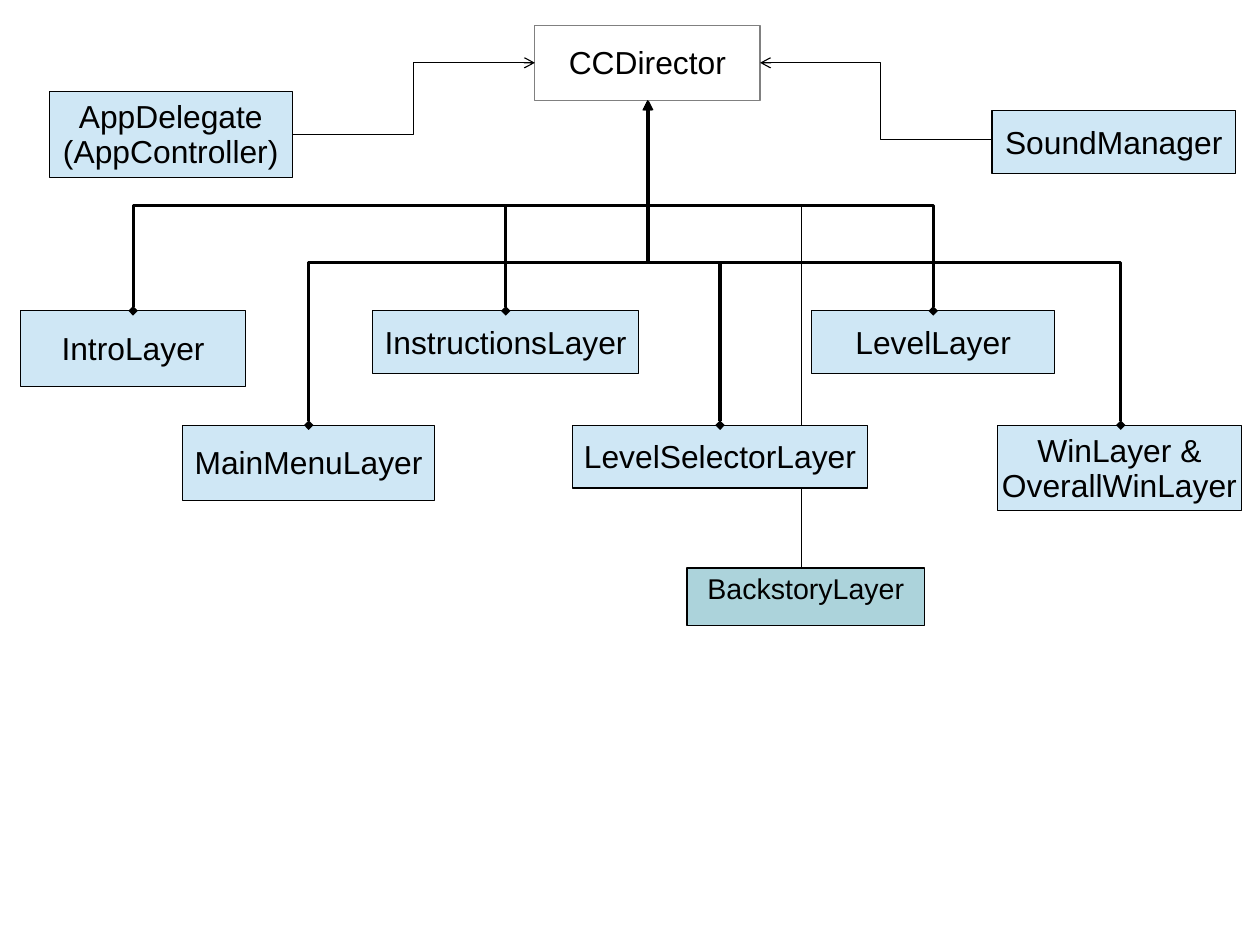
from pptx import Presentation
from pptx.dml.color import RGBColor
from pptx.enum.shapes import MSO_CONNECTOR as LINK, MSO_SHAPE as SHAPE
from pptx.enum.text import MSO_ANCHOR as ANCHOR, PP_ALIGN as ALIGN
from pptx.oxml.ns import qn
from pptx.util import Cm, Inches, Pt
from lxml.etree import SubElement

PAGE_WIDTH, PAGE_HEIGHT = Cm(28), Cm(21)
BLACK, GREY, PALE_BLUE, TEAL = "000000", "808080", "CFE7F5", "ACD3DB"

# Places are given on a grid with columns and rows of one inch.
DIRECTOR = (4.68, 0.22, 1.97, 0.66)
DIRECTOR_CENTRE = DIRECTOR[0] + DIRECTOR[2] / 2
DIRECTOR_MIDDLE = DIRECTOR[1] + DIRECTOR[3] / 2
DIRECTOR_BOTTOM = DIRECTOR[1] + DIRECTOR[3]

UPPER_ROW, LOWER_ROW = 2.72, 3.72
UPPER_BUS = (UPPER_ROW + DIRECTOR_BOTTOM) / 2

# Text, left, top, width, height, sideways shift of the link
LAYERS = [
    ("MainMenuLayer", 1.6, LOWER_ROW, 2.2, 0.66, 0),
    ("InstructionsLayer", 3.26, UPPER_ROW, 2.33, 0.55, 0),
    ("IntroLayer", 0.18, UPPER_ROW, 1.97, 0.66, 0),
    ("LevelSelectorLayer", 5.01, LOWER_ROW, 2.58, 0.55, 0),
    ("LevelLayer", 7.1, UPPER_ROW, 2.13, 0.55, 0),
    ("WinLayer &\vOverallWinLayer", 8.73, LOWER_ROW, 2.13, 0.75, 0.01),
]

# Text, box, start of the arrow
HELPERS = [
    ("SoundManager", (8.68, 0.97, 2.13, 0.55), (8.76, 1.22)),
    ("AppDelegate (AppController)", (0.43, 0.8, 2.13, 0.75), (2.56, 1.18)),
]

TIGHT = {"margin_left": 0, "margin_top": Inches(0.02), "margin_right": 0,
         "margin_bottom": 0, "vertical_anchor": ANCHOR.MIDDLE}
ROOMY = {"margin_left": Inches(0.1), "margin_top": Inches(0.05),
         "margin_right": Inches(0.1), "margin_bottom": Inches(0.05),
         "vertical_anchor": ANCHOR.TOP}


def color(value):
    return RGBColor.from_string(value)


def set_all(target, values):
    for name, value in values.items():
        setattr(target, name, value)


def add_box(page, text, place, fill=PALE_BLUE, outline=BLACK, size=20, frame_format=TIGHT):
    box = page.shapes.add_shape(SHAPE.RECTANGLE, *map(Inches, place))
    box.shadow.inherit = False
    if fill:
        box.fill.solid()
        box.fill.fore_color.rgb = color(fill)
    else:
        box.fill.background()
    box.line.color.rgb = color(outline)
    box.line.width = Pt(0.75)

    frame = box.text_frame
    set_all(frame, {"word_wrap": True, **frame_format})
    frame.text = text
    para = frame.paragraphs[0]
    set_all(para, {"alignment": ALIGN.CENTER, "line_spacing": 0.93})
    set_all(para.font, {"name": "Arial", "size": Pt(size)})
    para.font.color.rgb = color(BLACK)


def add_line(page, start, end, kind=LINK.ELBOW, width=0.75, **ends):
    """Draw a line; ends maps headEnd and tailEnd to arrowhead types."""
    line = page.shapes.add_connector(kind, *map(Inches, (*start, *end)))
    line.line.color.rgb = color(BLACK)
    line.line.width = Pt(width)
    properties = line.element.spPr
    for tag, arrowhead in ends.items():
        SubElement(properties.find(qn("a:ln")), qn(f"a:{tag}"), type=arrowhead)
    SubElement(properties, qn("a:effectLst"))
    return line


def add_layer_link(page, start, end):
    """Draw an elbow that leaves upwards: a level elbow given a quarter turn."""
    (start_x, start_y), (end_x, end_y) = start, end
    centre, middle = (start_x + end_x) / 2, (start_y + end_y) / 2
    side = 1 if end_x > start_x else -1
    across = side * (start_y - end_y) / 2
    down = abs(end_x - start_x) / 2
    link = add_line(page, (centre + across, middle + down),
                    (centre - across, middle - down), width=2,
                    headEnd="diamond", tailEnd="triangle")
    link.element.spPr.xfrm.rot = 90 if side > 0 else 270


def main():
    deck = Presentation()
    set_all(deck, {"slide_width": PAGE_WIDTH, "slide_height": PAGE_HEIGHT})
    page = deck.slides.add_slide(deck.slide_layouts[6])

    add_line(page, (7.01, UPPER_BUS), (7.01, 5.13), kind=LINK.STRAIGHT)
    add_box(page, "CCDirector", DIRECTOR, fill=None, outline=GREY)

    for text, *place, shift in LAYERS:
        left, top, width, height = place
        add_box(page, text, place)
        add_layer_link(page, (left + width / 2 + shift, top),
                       (DIRECTOR_CENTRE + shift, DIRECTOR_BOTTOM))

    for text, place, start in HELPERS:
        on_left = start[0] < DIRECTOR_CENTRE
        edge = DIRECTOR[0] if on_left else DIRECTOR[0] + DIRECTOR[2]
        add_line(page, start, (edge, DIRECTOR_MIDDLE), tailEnd="arrow")
        add_box(page, text, place)

    add_box(page, "BackstoryLayer", (6.01, 4.97, 2.08, 0.5), fill=TEAL,
            size=18, frame_format=ROOMY)
    deck.save("out.pptx")


if __name__ == "__main__":
    main()
